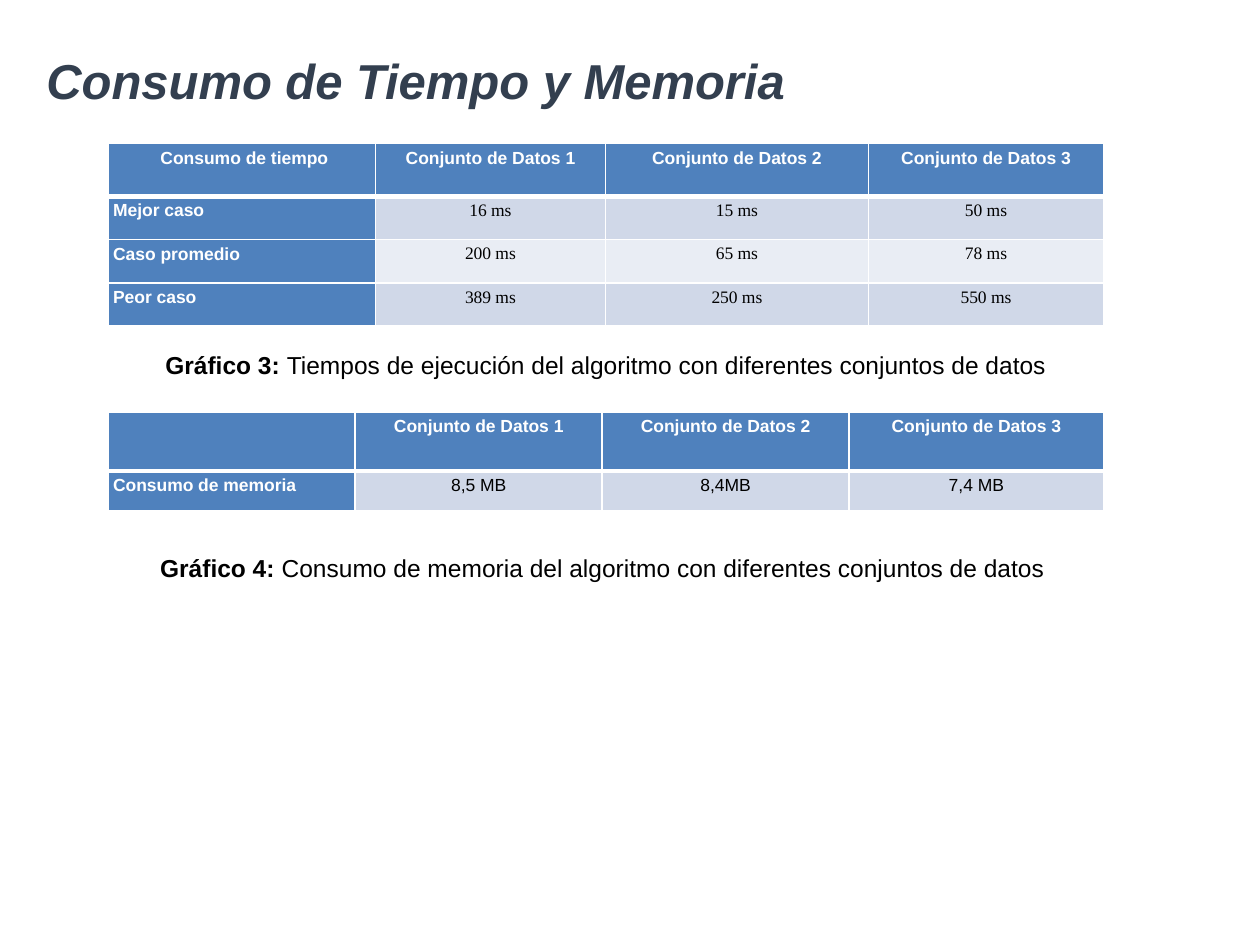
import pptx
import pptx.dml.color
import pptx.enum.text
import pptx.oxml
import pptx.oxml.ns
import pptx.util

Pt = pptx.util.Pt
ALIGN = pptx.enum.text.PP_ALIGN
ANCHOR = pptx.enum.text.MSO_ANCHOR

LEFT, WIDTH = 61.9, 568.8
CAPTION_HEIGHT = 38.9
BLUE, WHITE, BLACK = "4F81BD", "FFFFFF", "000000"
BANDS = ("D0D8E8", "E9EDF4")
DATA_SETS = ["Conjunto de Datos 1", "Conjunto de Datos 2", "Conjunto de Datos 3"]


def color(value):
    return pptx.dml.color.RGBColor.from_string(value)


def add_run(paragraph, text, font_color, **font_format):
    run = paragraph.add_run()
    run.text = text
    run.font.color.rgb = color(font_color)
    for name, value in {"name": "Arial", **font_format}.items():
        setattr(run.font, name, value)


def add_text_box(slide, box):
    shape = slide.shapes.add_textbox(*map(Pt, box))
    shape.text_frame.word_wrap = True
    return shape.text_frame


def add_title(slide, box, text):
    frame = add_text_box(slide, box)
    frame.vertical_anchor = ANCHOR.MIDDLE
    paragraph = frame.paragraphs[0]
    paragraph.line_spacing = 0.9
    add_run(paragraph, text, "333F4F", size=Pt(28), bold=True, italic=True)


def add_caption(slide, box, label, text):
    paragraph = add_text_box(slide, box).paragraphs[0]
    paragraph.alignment = ALIGN.CENTER
    add_run(paragraph, label, BLACK, size=Pt(14), bold=True)
    add_run(paragraph, text, BLACK, size=Pt(14), bold=False)


def set_borders(cell, row):
    # The line under the header row is thicker than the others
    widths = {"L": 1, "R": 1, "T": 3 if row == 1 else 1, "B": 3 if row == 0 else 1}
    properties = cell._tc.get_or_add_tcPr()
    for side, width in widths.items():
        properties.append(pptx.oxml.parse_xml(
            f'<a:ln{side} {pptx.oxml.ns.nsdecls("a")} w="{Pt(width)}">'
            f'<a:solidFill><a:srgbClr val="{WHITE}"/></a:solidFill></a:ln{side}>'))


def fill_cell(cell, row, column, text, value_font):
    heading = row == 0 or column == 0
    margins = ("margin_left", "margin_top", "margin_right", "margin_bottom")
    for name in margins:
        setattr(cell, name, Pt(2.7))
    set_borders(cell, row)
    cell.fill.solid()
    cell.fill.fore_color.rgb = color(BLUE if heading else BANDS[(row - 1) % 2])
    if not text:
        return
    paragraph = cell.text_frame.paragraphs[0]
    paragraph.alignment = ALIGN.JUSTIFY if column == 0 and row else ALIGN.CENTER
    paragraph.space_after = Pt(6)
    add_run(paragraph, text, WHITE if heading else BLACK, size=Pt(10),
            bold=heading, name="Arial" if heading else value_font)


def add_data_table(slide, box, rows, column_widths, row_heights, value_font):
    table = slide.shapes.add_table(len(rows), len(rows[0]), *map(Pt, box)).table
    table.horz_banding = False
    for column, width in zip(table.columns, column_widths):
        column.width = Pt(width)
    for row, height in zip(table.rows, row_heights):
        row.height = Pt(height)
    for row_index, texts in enumerate(rows):
        for column_index, text in enumerate(texts):
            fill_cell(table.cell(row_index, column_index), row_index,
                      column_index, text, value_font)


def main():
    presentation = pptx.Presentation()
    presentation.slide_width, presentation.slide_height = Pt(720), Pt(540)
    slide = presentation.slides.add_slide(presentation.slide_layouts[6])

    add_title(slide, (19.4, 23.8, 620.6, 48.2), "Consumo de Tiempo y Memoria")

    # Running times
    add_data_table(
        slide, (LEFT, 82.1, WIDTH, 104.3),
        [[" Consumo de tiempo", *DATA_SETS],
         ["Mejor caso", "16 ms", "15 ms", "50 ms"],
         ["Caso promedio", "200 ms", "65 ms", "78 ms"],
         ["Peor caso", "389 ms", "250 ms", "550 ms"]],
        (152.6, 131.5, 150.2, 134.5), (30.2, 24.7, 24.7, 24.7), "Times New Roman")
    add_caption(slide, (LEFT, 196.6, WIDTH, CAPTION_HEIGHT), "Gráfico 3: ",
                "Tiempos de ejecución del algoritmo con diferentes conjuntos de datos")

    # Memory use
    add_data_table(
        slide, (LEFT, 235.4, WIDTH, 56.6),
        [["", *DATA_SETS],
         ["Consumo de memoria", "8,5 MB", "8,4MB", "7,4 MB"]],
        (141.1, 141.1, 141.1, 145.5), (33.8, 22.8), "Arial")
    add_caption(slide, (LEFT, 312.5, WIDTH, CAPTION_HEIGHT), "Gráfico 4: ",
                "Consumo de memoria del algoritmo con diferentes conjuntos de datos ")

    presentation.save("out.pptx")


if __name__ == "__main__":
    main()
